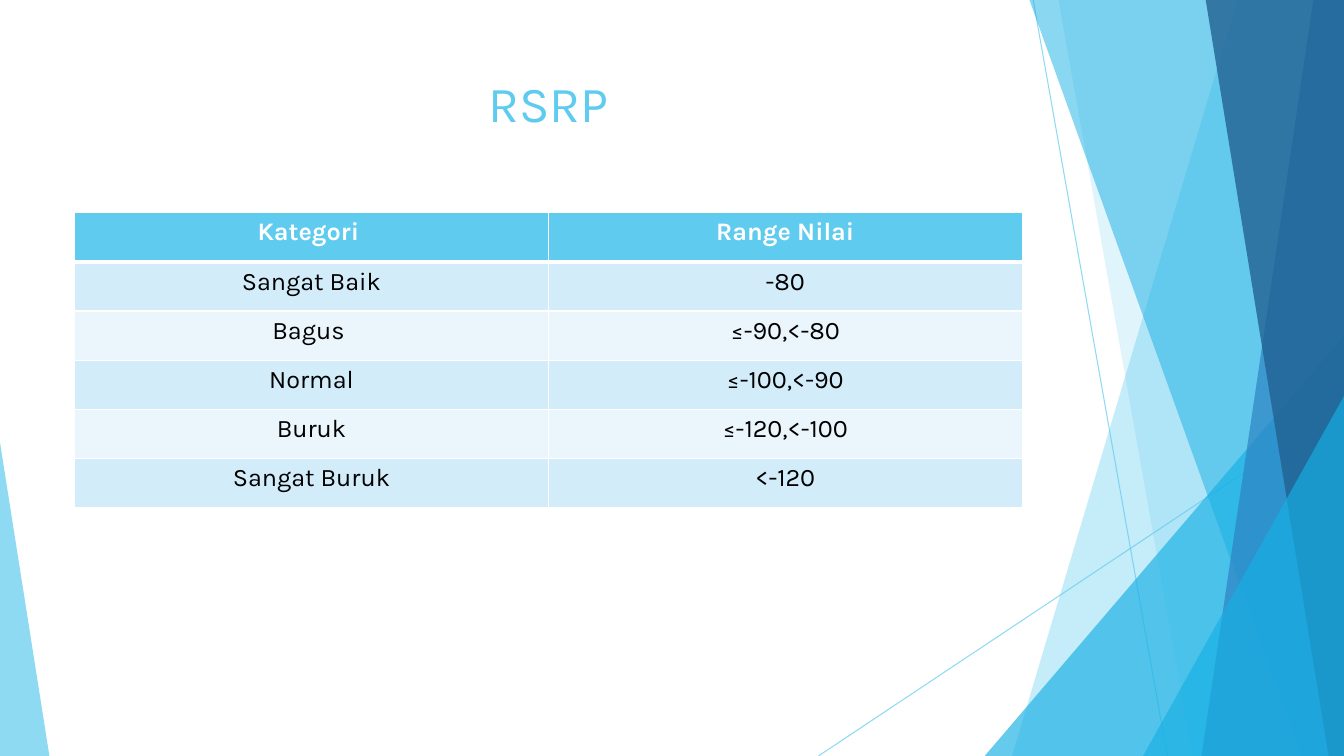
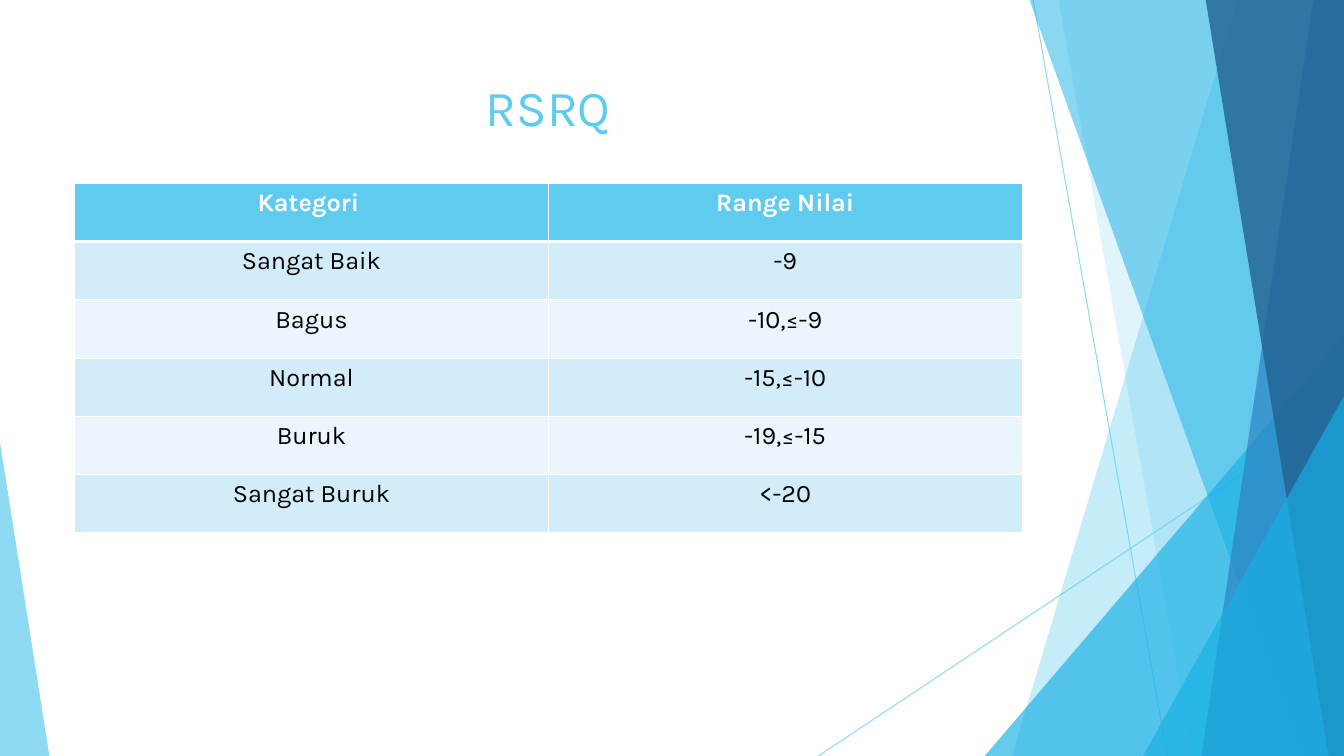
"""Builds two slides with signal quality tables on a shared faceted layout."""
from dataclasses import dataclass

from lxml.etree import SubElement
from pptx import Presentation
from pptx.dml.color import RGBColor
from pptx.enum.shapes import MSO_CONNECTOR, MSO_SHAPE
from pptx.enum.text import MSO_ANCHOR, MSO_AUTO_SIZE, PP_ALIGN
from pptx.oxml.ns import qn
from pptx.shapes.autoshape import Shape
from pptx.slide import Slide, SlideLayout
from pptx.table import _Cell as Cell
from pptx.text.text import _Paragraph as Paragraph
from pptx.util import Pt

WIDTH, HEIGHT = 960, 540
BLEED = -0.7
LEFT, CONTENT_WIDTH = 53.3, 676.8
FONT = "Karla"
SKY, CYAN, BLUE, NAVY = "5FCBEF", "17B0E4", "2E83C3", "226292"
WHITE, BLACK = "FFFFFF", "000000"
BANDS = ("D2ECF9", "EAF6FC")
HEADER = ("Kategori ", "Range Nilai")
THIN, THICK = 1, 3


@dataclass(frozen=True)
class Ray:
    start: tuple[float, float]
    end: tuple[float, float]


@dataclass(frozen=True)
class Ribbon:
    top_x: float
    bottom_x: float
    fill: str
    opacity: int


@dataclass(frozen=True)
class Triangle:
    left: float
    right: float
    top: float
    apex: float
    fill: str
    opacity: int


@dataclass(frozen=True)
class TableSlide:
    title: str
    title_top: float
    title_height: float
    table_top: float
    row_height: float
    rows: tuple[tuple[str, str], ...]


RAYS = (
    Ray((738, 0), (833.8, HEIGHT)),
    Ray((WIDTH, 290.2), (584.6, HEIGHT)),
)

FACETS = (
    Ribbon(884.2, 722.9, SKY, 36),
    Ribbon(756, 851.8, SKY, 20),
    Triangle(703.4, WIDTH, 239.8, 1, CYAN, 66),
    Ribbon(735.1, 929.5, CYAN, 50),
    Ribbon(938.2, 858.2, BLUE, 70),
    Ribbon(861.1, 949, NAVY, 80),
    Triangle(816.5, WIDTH, 283, 1, CYAN, 66),
    Triangle(0, 35.3, 316.1, 0, SKY, 70),
)

SLIDES = (
    TableSlide("RSRP", 48.2, 103.7, 151.9, 35.16, (
        ("Sangat Baik", "-80"),
        ("Bagus ", "≤-90,<-80"),
        ("Normal", "≤-100,<-90"),
        ("Buruk", "≤-120,<-100"),
        ("Sangat Buruk", "<-120"),
    )),
    TableSlide("RSRQ", 51.1, 66.2, 131, 41.64, (
        ("Sangat Baik", "-9"),
        ("Bagus", "-10,≤-9"),
        ("Normal", "-15,≤-10"),
        ("Buruk", "-19,≤-15"),
        ("Sangat Buruk", "<-20"),
    )),
)


def color(value: str) -> RGBColor:
    return RGBColor.from_string(value)


def set_opacity(element, percent: int) -> None:
    for node in element.iter(qn("a:srgbClr")):
        SubElement(node, qn("a:alpha"), val=str(percent * 1000))


def style_paragraph(paragraph: Paragraph, size: float, text_color: str, bold: bool = False) -> None:
    paragraph.alignment = PP_ALIGN.CENTER
    font = paragraph.font
    font.name, font.size, font.bold = FONT, Pt(size), bold
    font.color.rgb = color(text_color)


def add_ray(slide: Slide, ray: Ray):
    points = [Pt(value) for value in ray.start + ray.end]
    connector = slide.shapes.add_connector(MSO_CONNECTOR.STRAIGHT, *points)
    connector.line.width = Pt(0.75)
    connector.line.color.rgb = color(SKY)
    properties = connector.element.spPr
    set_opacity(properties, 70)
    SubElement(properties, qn("a:effectLst"))
    return connector


def add_facet(slide: Slide, facet: Ribbon | Triangle) -> Shape:
    if isinstance(facet, Ribbon):
        builder = slide.shapes.build_freeform(Pt(facet.top_x), Pt(BLEED))
        corners = ((WIDTH, BLEED), (WIDTH, HEIGHT), (facet.bottom_x, HEIGHT))
        builder.add_line_segments([(Pt(x), Pt(y)) for x, y in corners], close=True)
        shape = builder.convert_to_shape()
    else:
        shape = slide.shapes.add_shape(
            MSO_SHAPE.ISOSCELES_TRIANGLE, Pt(facet.left), Pt(facet.top),
            Pt(facet.right - facet.left), Pt(HEIGHT - facet.top))
        shape.adjustments[0] = facet.apex
    shape.fill.solid()
    shape.fill.fore_color.rgb = color(facet.fill)
    shape.line.fill.background()
    shape.shadow.inherit = False
    set_opacity(shape.element.spPr, facet.opacity)
    return shape


def decorate_layout(layout: SlideLayout, slide: Slide) -> None:
    shapes = [add_ray(slide, ray) for ray in RAYS]
    shapes += [add_facet(slide, facet) for facet in FACETS]
    for shape in shapes:
        layout.shapes.element.append(shape.element)


def set_borders(cell: Cell, top: float, bottom: float) -> None:
    properties = cell._tc.get_or_add_tcPr()
    for side, width in (("L", THIN), ("R", THIN), ("T", top), ("B", bottom)):
        line = SubElement(properties, qn(f"a:ln{side}"), w=str(Pt(width)))
        SubElement(SubElement(line, qn("a:solidFill")), qn("a:srgbClr"), val=WHITE)


def add_title(slide: Slide, content: TableSlide) -> None:
    title = slide.shapes.title
    title.left, title.top = Pt(LEFT), Pt(content.title_top)
    title.width, title.height = Pt(CONTENT_WIDTH), Pt(content.title_height)
    frame = title.text_frame
    frame.text = content.title
    frame.auto_size = MSO_AUTO_SIZE.NONE
    frame.vertical_anchor = MSO_ANCHOR.TOP
    style_paragraph(frame.paragraphs[0], 36, SKY)


def add_value_table(slide: Slide, content: TableSlide) -> None:
    rows = (HEADER,) + content.rows
    table = slide.shapes.add_table(
        len(rows), len(HEADER), Pt(LEFT), Pt(content.table_top),
        Pt(CONTENT_WIDTH), Pt(content.row_height * len(rows))).table
    for row_index, texts in enumerate(rows):
        table.rows[row_index].height = Pt(content.row_height)
        is_header = row_index == 0
        fill = SKY if is_header else BANDS[(row_index - 1) % 2]
        for column_index, text in enumerate(texts):
            cell = table.cell(row_index, column_index)
            cell.text = text
            style_paragraph(cell.text_frame.paragraphs[0], 18,
                            WHITE if is_header else BLACK, is_header)
            set_borders(cell, THICK if row_index == 1 else THIN, THICK if is_header else THIN)
            cell.fill.solid()
            cell.fill.fore_color.rgb = color(fill)


def main() -> None:
    presentation = Presentation()
    presentation.slide_width, presentation.slide_height = Pt(WIDTH), Pt(HEIGHT)
    layout = presentation.slide_layouts.get_by_name("Title Only")
    slides = [presentation.slides.add_slide(layout) for _ in SLIDES]
    decorate_layout(layout, slides[0])
    for slide, content in zip(slides, SLIDES):
        add_title(slide, content)
        add_value_table(slide, content)
    presentation.save("out.pptx")


if __name__ == "__main__":
    main()
